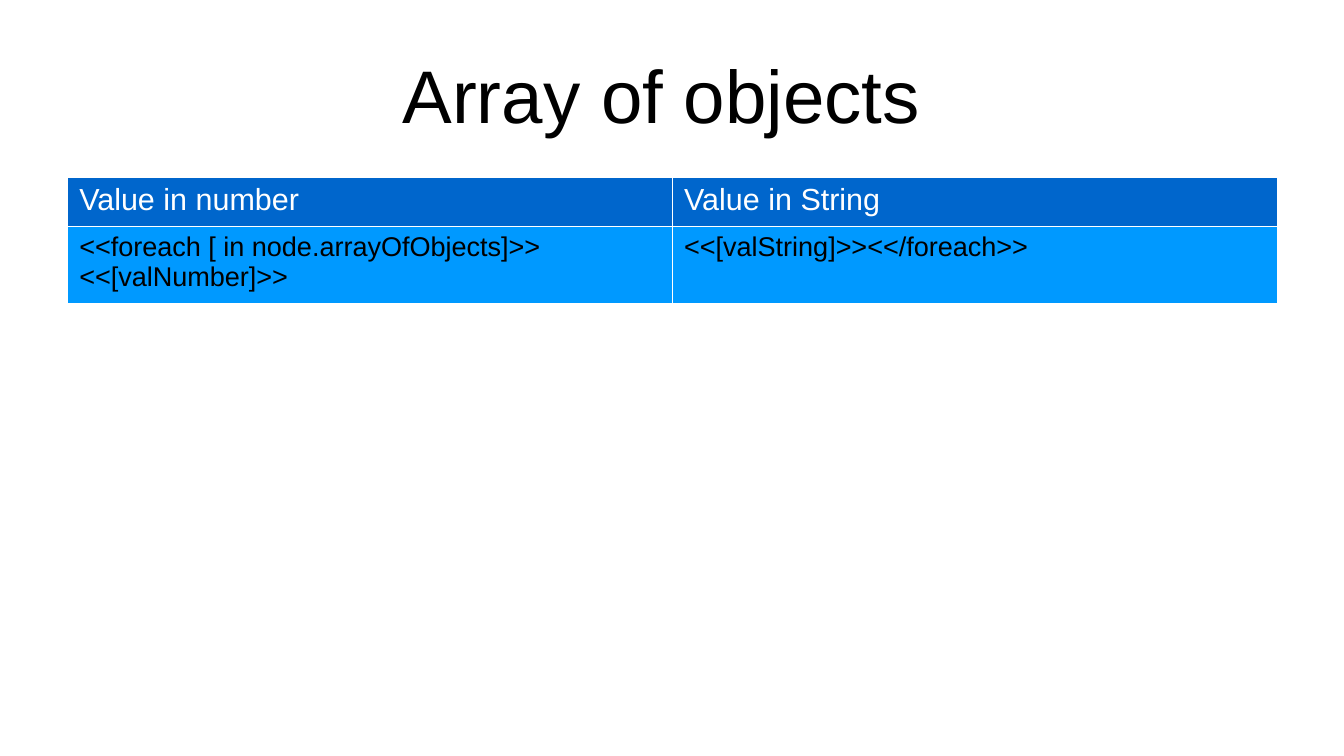
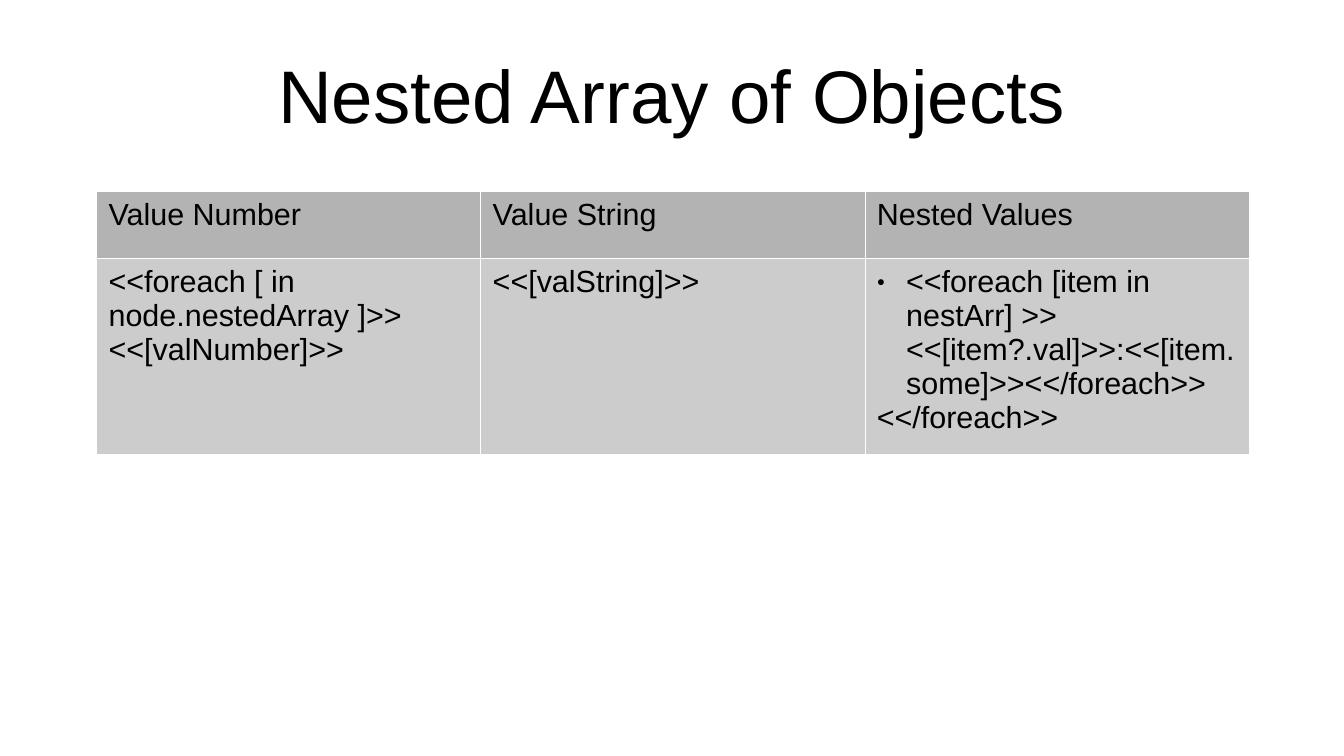
from dataclasses import dataclass

from lxml.etree import SubElement
from pptx import Presentation
from pptx.dml.color import RGBColor
from pptx.enum.text import MSO_ANCHOR, PP_ALIGN
from pptx.oxml.ns import qn
from pptx.util import Inches, Pt

FONT = "Arial"
BLACK = "000000"
WHITE = "FFFFFF"
BORDER_WIDTH = Pt(0.06)
BULLET_INDENT = Inches(0.24)


@dataclass(frozen=True)
class Line:
    text: str
    bulleted: bool = False


@dataclass(frozen=True)
class RowStyle:
    fill: str
    color: str
    size: int


@dataclass(frozen=True)
class TableSlide:
    title: str
    left: float
    top: float
    column_width: float
    row_height: float
    styles: tuple[RowStyle, ...]
    rows: tuple[tuple[tuple[Line, ...], ...], ...]


TABLE_SLIDES = (
    TableSlide(
        "Array of objects ", 0.55, 1.45, 4.96, 0.38,
        (RowStyle("0066CC", WHITE, 18), RowStyle("0099FF", BLACK, 16)),
        (
            ((Line("Value in number"),), (Line("Value in String"),)),
            (
                (Line("<<foreach [ in node.arrayOfObjects]>> <<[valNumber]>>"),),
                (Line("<<[valString]>><</foreach>>"),),
            ),
        ),
    ),
    TableSlide(
        "Nested Array of Objects", 0.79, 1.57, 3.15, 0.55,
        (RowStyle("B3B3B3", BLACK, 18), RowStyle("CCCCCC", BLACK, 18)),
        (
            ((Line("Value Number"),), (Line("Value String"),), (Line("Nested Values"),)),
            (
                (Line("<<foreach [ in node.nestedArray ]>> <<[valNumber]>>"),),
                (Line("<<[valString]>>"),),
                (
                    Line("<<foreach [item in nestArr] >> "
                         "<<[item?.val]>>:<<[item.some]>><</foreach>>", True),
                    Line("<</foreach>>"),
                ),
            ),
        ),
    ),
)


def rgb(color: str) -> RGBColor:
    return RGBColor.from_string(color)


def add_run(paragraph, text: str, size: int, color: str) -> None:
    run = paragraph.add_run()
    run.text = text
    run.font.name = FONT
    run.font.size = Pt(size)
    run.font.bold = False
    run.font.color.rgb = rgb(color)


def add_title(slide, title: str) -> None:
    shape = slide.shapes.add_textbox(Inches(0.55), Inches(0.25), Inches(9.92), Inches(1.03))
    frame = shape.text_frame
    frame.word_wrap = True
    frame.vertical_anchor = MSO_ANCHOR.MIDDLE
    frame.margin_left = frame.margin_right = frame.margin_top = frame.margin_bottom = 0
    paragraph = frame.paragraphs[0]
    paragraph.alignment = PP_ALIGN.CENTER
    add_run(paragraph, title, 44, BLACK)


def add_bullet(paragraph) -> None:
    properties = paragraph._p.get_or_add_pPr()
    properties.set("marL", str(BULLET_INDENT))
    properties.set("indent", str(-BULLET_INDENT))
    color = SubElement(properties, qn("a:buClr"))
    SubElement(color, qn("a:srgbClr"), val=BLACK)
    SubElement(properties, qn("a:buSzPct"), val="45000")
    SubElement(properties, qn("a:buFont"), typeface=FONT)
    SubElement(properties, qn("a:buChar"), char="●")


def add_borders(cell) -> None:
    properties = cell._tc.get_or_add_tcPr()
    for position, side in enumerate(("a:lnL", "a:lnR", "a:lnT", "a:lnB")):
        border = SubElement(properties, qn(side), w=str(BORDER_WIDTH))
        fill = SubElement(border, qn("a:solidFill"))
        SubElement(fill, qn("a:srgbClr"), val=WHITE)
        properties.insert(position, border)


def fill_cell(cell, lines: tuple[Line, ...], style: RowStyle) -> None:
    cell.fill.solid()
    cell.fill.fore_color.rgb = rgb(style.fill)
    cell.margin_left = cell.margin_right = Inches(0.1)
    cell.margin_top = cell.margin_bottom = Inches(0.05)
    add_borders(cell)
    frame = cell.text_frame
    for index, line in enumerate(lines):
        paragraph = frame.add_paragraph() if index else frame.paragraphs[0]
        if line.bulleted:
            add_bullet(paragraph)
        add_run(paragraph, line.text, style.size, style.color)


def add_table(slide, content: TableSlide) -> None:
    row_count, column_count = len(content.rows), len(content.rows[0])
    table = slide.shapes.add_table(
        row_count, column_count, Inches(content.left), Inches(content.top),
        Inches(content.column_width * column_count),
        Inches(content.row_height * row_count),
    ).table
    table.first_row = table.horz_banding = False
    for row_index, (row, style) in enumerate(zip(content.rows, content.styles)):
        for column_index, lines in enumerate(row):
            fill_cell(table.cell(row_index, column_index), lines, style)


def main() -> None:
    presentation = Presentation()
    presentation.slide_width = Inches(11.02)
    presentation.slide_height = Inches(6.2)
    for content in TABLE_SLIDES:
        slide = presentation.slides.add_slide(presentation.slide_layouts[6])
        add_title(slide, content.title)
        add_table(slide, content)
    presentation.save("out.pptx")


if __name__ == "__main__":
    main()
